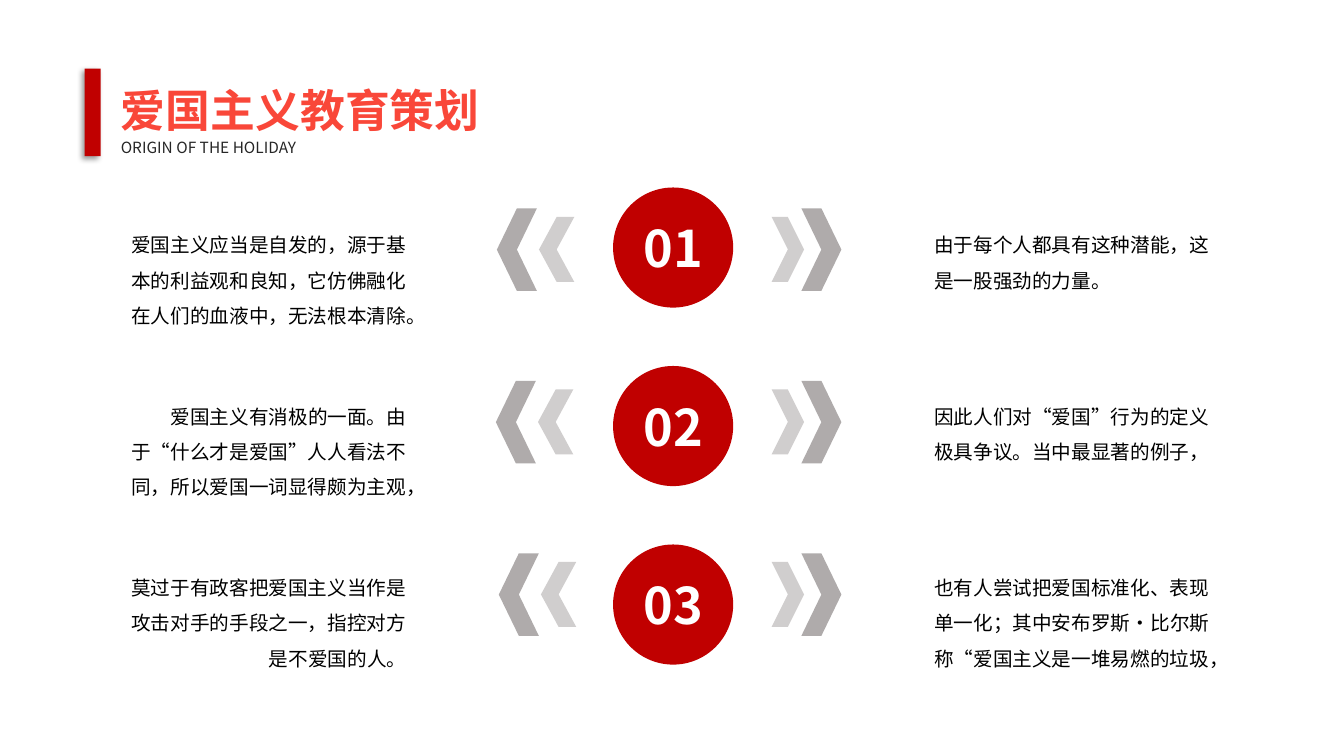
from dataclasses import dataclass

from lxml import etree
from pptx import Presentation
from pptx import util as u
from pptx.dml.color import RGBColor
from pptx.enum import shapes, text
from pptx.oxml import ns, parse_xml


@dataclass(frozen=True)
class Theme:
    red: str = "C00000"
    title: str = "F94739"
    subtitle: str = "262626"
    ink: str = "000000"
    white: str = "FFFFFF"
    dark_grey: str = "AFABAB"
    light_grey: str = "D0CECE"
    title_font: str = "Noto Sans CJK JP"
    font: str = "Noto Sans CJK SC"
    title_size: float = 32
    subtitle_size: float = 11
    number_size: float = 36
    body_size: float = 14


@dataclass(frozen=True)
class Box:
    left: float
    top: float
    width: float
    height: float

    def shifted(self, across: float, down: float) -> "Box":
        return Box(self.left + across, self.top + down, self.width, self.height)

    def points(self) -> list:
        return [u.Pt(side) for side in (self.left, self.top, self.width, self.height)]


@dataclass(frozen=True)
class Chevron:
    box: Box
    color: str
    points_left: bool


@dataclass(frozen=True)
class Row:
    left_text: str
    right_text: str
    chevron_shift: float


THEME = Theme()
CIRCLE = Box(437.9, 133.9, 85.8, 85.8)
LEFT_TEXT = Box(77.8, 154.8, 219.6, 83.5)
RIGHT_TEXT = Box(660.2, 154.8, 219.6, 83.5)
CIRCLE_PITCH, CHEVRON_PITCH, TEXT_PITCH = 127.5, 123.2, 122.4
CHEVRONS = [
    Chevron(Box(572.4, 148.8, 28.6, 59), THEME.dark_grey, False),
    Chevron(Box(551.2, 155, 23.2, 46.4), THEME.light_grey, False),
    Chevron(Box(354.9, 148.8, 28.6, 59), THEME.dark_grey, True),
    Chevron(Box(385, 155, 25.2, 46.4), THEME.light_grey, True),
]
ROWS = [
    Row("爱国主义应当是自发的，源于基本的利益观和良知，它仿佛融化在人们的血液中，无法根本清除。",
        "由于每个人都具有这种潜能，这是一股强劲的力量。", 0),
    Row("爱国主义有消极的一面。由于“什么才是爱国”人人看法不同，所以爱国一词显得颇为主观，",
        "因此人们对“爱国”行为的定义极具争议。当中最显著的例子，", -0.7),
    Row("莫过于有政客把爱国主义当作是攻击对手的手段之一，指控对方是不爱国的人。",
        "也有人尝试把爱国标准化、表现单一化；其中安布罗斯·比尔斯称“爱国主义是一堆易燃的垃圾，", 1.4),
]


def write(shape, words: str, size: float, color: str, align=text.PP_ALIGN.LEFT,
          anchor=text.MSO_ANCHOR.MIDDLE, font: str = THEME.font,
          bold: bool = False, spacing: float = 1.0, inset: float = 3.6) -> None:
    frame = shape.text_frame
    frame.word_wrap = True
    frame.auto_size = text.MSO_AUTO_SIZE.NONE
    frame.vertical_anchor = anchor
    frame.margin_left = frame.margin_right = u.Pt(7.2)
    frame.margin_top = frame.margin_bottom = u.Pt(inset)
    para = frame.paragraphs[0]
    para.text = words
    para.alignment = align
    para.line_spacing = spacing
    para.font.size = u.Pt(size)
    para.font.bold = bold
    para.font.color.rgb = RGBColor.from_string(color)
    para.font.name = font
    # East Asian glyphs take their typeface from a:ea
    properties = para._p.pPr.find(ns.qn("a:defRPr"))
    etree.SubElement(properties, ns.qn("a:ea")).set("typeface", font)


def add_filled(page, kind, box: Box, color: str):
    shape = page.shapes.add_shape(kind, *box.points())
    shape.fill.solid()
    shape.fill.fore_color.rgb = RGBColor.from_string(color)
    shape.line.fill.background()
    shape.shadow.inherit = False
    return shape


def add_header(page) -> None:
    title = page.shapes.title
    title.left, title.top, title.width, title.height = Box(79.2, 55.4, 293, 46.1).points()
    write(title, "爱国主义教育策划", THEME.title_size, THEME.title,
          font=THEME.title_font, bold=True, inset=0)
    subtitle = page.shapes.add_textbox(*Box(79.2, 95, 252.7, 20.9).points())
    write(subtitle, "ORIGIN OF THE HOLIDAY", THEME.subtitle_size, THEME.subtitle)

    bar = add_filled(page, shapes.MSO_SHAPE.RECTANGLE, Box(60.5, 49, 11.5, 62.6), THEME.red)
    effects = bar._element.spPr.find(ns.qn("a:effectLst"))
    effects.append(parse_xml(
        f'<a:outerShdw {ns.nsdecls("a")} blurRad="{u.Pt(4)}" dist="{u.Pt(3)}" '
        'dir="8100000" algn="tr" rotWithShape="0"><a:srgbClr val="000000">'
        '<a:alpha val="40000"/></a:srgbClr></a:outerShdw>'))


def add_row(page, index: int, row: Row) -> None:
    circle = add_filled(page, shapes.MSO_SHAPE.OVAL,
                        CIRCLE.shifted(0, index * CIRCLE_PITCH), THEME.red)
    write(circle, f"{index + 1:02}", THEME.number_size, THEME.white,
          align=text.PP_ALIGN.CENTER, bold=True)
    for chevron in CHEVRONS:
        across = row.chevron_shift if chevron.points_left else 0
        arrow = add_filled(page, shapes.MSO_SHAPE.CHEVRON,
                           chevron.box.shifted(across, index * CHEVRON_PITCH), chevron.color)
        arrow.rotation = 180 if chevron.points_left else 0
    for box, words, align in ((LEFT_TEXT, row.left_text, text.PP_ALIGN.RIGHT),
                              (RIGHT_TEXT, row.right_text, text.PP_ALIGN.LEFT)):
        body = page.shapes.add_textbox(*box.shifted(0, index * TEXT_PITCH).points())
        write(body, words, THEME.body_size, THEME.ink, align=align,
              anchor=text.MSO_ANCHOR.TOP, spacing=1.5)


def main() -> None:
    deck = Presentation()
    deck.slide_width, deck.slide_height = u.Pt(960), u.Pt(540)
    page = deck.slides.add_slide(deck.slide_layouts[5])
    add_header(page)
    for index, row in enumerate(ROWS):
        add_row(page, index, row)
    deck.save("out.pptx")


if __name__ == "__main__":
    main()
